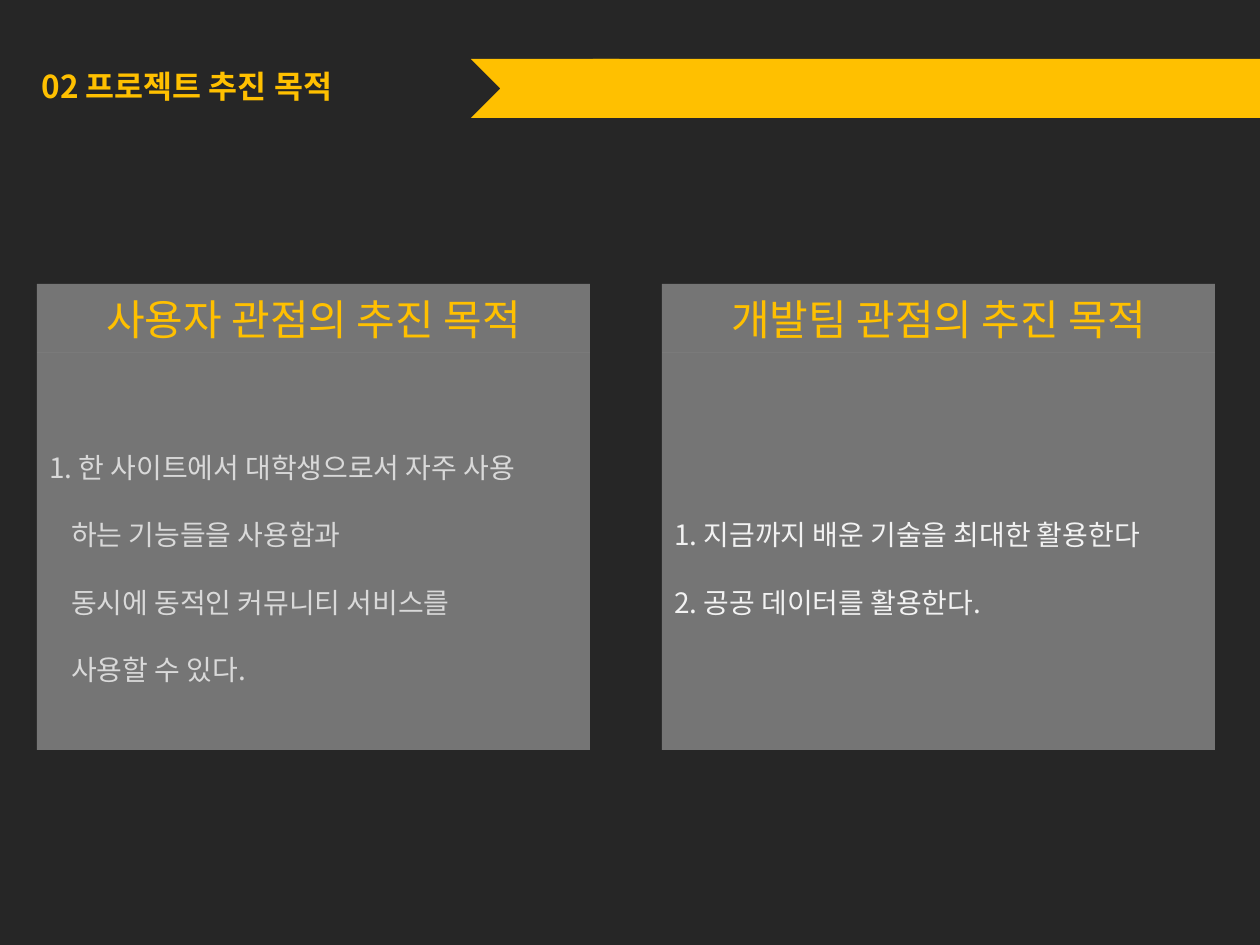
from pptx import Presentation
from pptx.dml.color import RGBColor
from pptx.enum.shapes import MSO_SHAPE
from pptx.enum.text import MSO_ANCHOR, PP_ALIGN
from pptx.oxml.ns import qn
from pptx.util import Pt
from lxml.etree import SubElement

PX = 914400 // 126
FONT = "Noto Sans CJK KR"
COLOR = {"back": "262626", "gold": "FFC000", "panel": "BFBFBF",
         "user": "D9D9D9", "team": "F2F2F2"}


def add_box(shapes, kind, box, color, alpha=None):
    shape = shapes.add_shape(kind, *(n * PX for n in box))
    shape.shadow.inherit = False
    shape.line.fill.background()
    shape.fill.solid()
    shape.fill.fore_color.rgb = RGBColor.from_string(COLOR[color])
    if alpha:
        tint = shape._element.spPr.find(qn("a:solidFill"))[0]
        SubElement(tint, qn("a:alpha"), val=str(alpha * 1000))
    return shape


def set_text(shape, lines, size, color, align, bold=False, space=None):
    """Write one paragraph per (indent, text) pair, centred vertically."""
    frame = shape.text_frame
    frame.word_wrap = True
    frame.vertical_anchor = MSO_ANCHOR.MIDDLE
    frame.text = "\n".join(text for _, text in lines)
    for para, (indent, _) in zip(frame.paragraphs, lines):
        para.alignment = align
        para.line_spacing = space
        font = para.font
        font.name, font.size, font.bold = FONT, Pt(size), bold
        font.color.rgb = RGBColor.from_string(COLOR[color])
        props = para._p.get_or_add_pPr()
        props.set("marL", str(indent * PX))
        # Hangul takes its typeface from the East Asian slot
        SubElement(props.find(qn("a:defRPr")), qn("a:ea"), typeface=FONT)
        for run in para.runs:
            run.font.name, run.font.size, run.font.bold = FONT, Pt(size), bold
            run.font.color.rgb = font.color.rgb
            SubElement(run._r.get_or_add_rPr(), qn("a:ea"), typeface=FONT)


deck = Presentation()
deck.slide_width, deck.slide_height = 1260 * PX, 945 * PX
slide = deck.slides.add_slide(deck.slide_layouts[5])
slide.background.fill.solid()
slide.background.fill.fore_color.rgb = RGBColor.from_string(COLOR["back"])

# Heading and ribbon
title = slide.shapes.title
title.left, title.top, title.width, title.height = (
    n * PX for n in (29, 61, 461, 50))
set_text(title, [(0, "02 프로젝트 추진 목적")], 18, "gold", PP_ALIGN.LEFT, True)

ribbon = slide.shapes.add_group_shape().shapes
add_box(ribbon, MSO_SHAPE.CHEVRON, (471, 59, 178, 59), "gold")
add_box(ribbon, MSO_SHAPE.RECTANGLE, (593, 59, 687, 59), "gold")

# Two panels, each a heading above a body
STEP = 22
panels = [
    (37, "사용자 관점의 추진 목적", "user", [
        (0, "1. 한 사이트에서 대학생으로서 자주 사용"),
        (STEP, "하는 기능들을 사용함과"),
        (STEP, "동시에 동적인 커뮤니티 서비스를"),
        (STEP, "사용할 수 있다."),
    ]),
    (662, "개발팀 관점의 추진 목적", "team", [
        (0, "1. 지금까지 배운 기술을 최대한 활용한다"),
        (0, "2. 공공 데이터를 활용한다."),
    ]),
]
for left, head, color, lines in panels:
    body = add_box(slide.shapes, MSO_SHAPE.RECTANGLE,
                   (left, 353, 553, 397), "panel", 52)
    set_text(body, lines, 16, color, PP_ALIGN.LEFT, space=2.0)
    top = add_box(slide.shapes, MSO_SHAPE.RECTANGLE,
                  (left, 284, 553, 69), "panel", 52)
    set_text(top, [(0, head)], 24, "gold", PP_ALIGN.CENTER)

deck.save("out.pptx")
